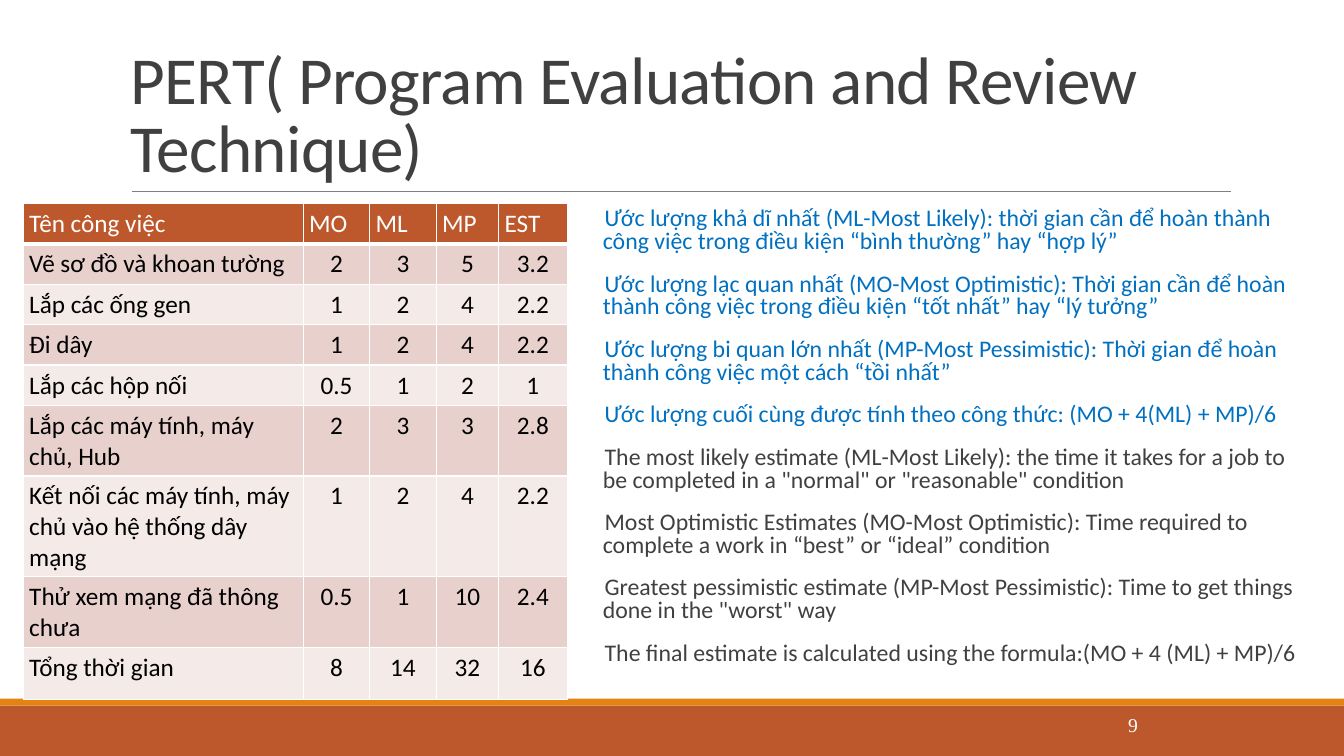
from lxml import etree
from pptx import Presentation
from pptx.dml.color import RGBColor
from pptx.enum import shapes, text
from pptx.oxml import ns
from pptx.util import Pt

RUST = RGBColor(0xBD, 0x58, 0x2C)
ORANGE = RGBColor(0xE4, 0x83, 0x12)
GREY = RGBColor(0x80, 0x80, 0x80)
CHARCOAL = RGBColor(0x40, 0x40, 0x40)
BLUE = RGBColor(0x00, 0x70, 0xC0)
BLACK = RGBColor(0, 0, 0)
WHITE = RGBColor(0xFF, 0xFF, 0xFF)
ROSE = RGBColor(0xE8, 0xD1, 0xCD)
PALE = RGBColor(0xF4, 0xEA, 0xE8)

WIDTH, HEIGHT = 960, 540
COLUMN_WIDTHS = [200, 47.5, 47.5, 44.6, 49]
ROW_HEIGHTS = [27.4] * 6 + [46.8, 27.4, 37.4]
TASKS = [
    ("Tên công việc", "MO", "ML", "MP", "EST"),
    ("Vẽ sơ đồ và khoan tường", "2", "3", "5", "3.2"),
    ("Lắp các ống gen", "1", "2", "4", "2.2"),
    ("Đi dây", "1", "2", "4", "2.2"),
    ("Lắp các hộp nối ", "0.5", "1", "2", "1"),
    ("Lắp các máy tính, máy chủ, Hub", "2", "3", "3", "2.8"),
    ("Kết nối các máy tính, máy chủ vào hệ thống dây mạng", "1", "2", "4", "2.2"),
    ("Thử xem mạng đã thông chưa", "0.5", "1", "10", "2.4"),
    ("Tổng thời gian", "8", "14", "32", "16"),
]
VIETNAMESE = [
    "Ước lượng khả dĩ nhất (ML-Most Likely): thời gian cần để hoàn thành công việc "
    "trong điều kiện “bình thường” hay “hợp lý”",
    "Ước lượng lạc quan nhất (MO-Most Optimistic): Thời gian cần để hoàn thành công việc "
    "trong điều kiện “tốt nhất” hay “lý tưởng”",
    "Ước lượng bi quan lớn nhất (MP-Most Pessimistic): Thời gian để hoàn thành công việc "
    "một cách “tồi nhất”",
    "Ước lượng cuối cùng được tính theo công thức: (MO + 4(ML) + MP)/6",
]
ENGLISH = [
    "The most likely estimate (ML-Most Likely): the time it takes for a job to be completed "
    'in a "normal" or "reasonable" condition',
    "Most Optimistic Estimates (MO-Most Optimistic): Time required to complete a work "
    "in “best” or “ideal” condition",
    "Greatest pessimistic estimate (MP-Most Pessimistic): Time to get things done "
    'in the "worst" way',
    "The final estimate is calculated using the formula:(MO + 4 (ML) + MP)/6",
]


def write(paragraph, words, size=18, color=BLACK, font="Calibri", align=None,
          line_spacing=None, before=None, after=None, tracking=None):
    run = paragraph.add_run()
    run.text = words
    run.font.size = Pt(size)
    run.font.name = font
    run.font.color.rgb = color
    if tracking is not None:
        run.font._element.set("spc", str(round(tracking * 100)))
    if align is not None:
        paragraph.alignment = align
    if line_spacing is not None:
        paragraph.line_spacing = line_spacing
    if before is not None:
        paragraph.space_before = Pt(before)
    if after is not None:
        paragraph.space_after = Pt(after)


def add_blank_bullet(paragraph, indent, color):
    properties = paragraph._p.get_or_add_pPr()
    properties.set("marL", str(Pt(indent)))
    properties.set("indent", str(-Pt(indent)))
    bullet_color = etree.SubElement(properties, ns.qn("a:buClr"))
    etree.SubElement(bullet_color, ns.qn("a:srgbClr"), val=str(color))
    etree.SubElement(properties, ns.qn("a:buChar"), char=" ")


def add_text_area(slide, left, top, width, height, anchor, side_inset=7.2):
    frame = slide.shapes.add_textbox(Pt(left), Pt(top), Pt(width), Pt(height)).text_frame
    frame.word_wrap = True
    frame.vertical_anchor = anchor
    frame.margin_left = frame.margin_right = Pt(side_inset)
    return frame


def add_band(slide, top, height, color):
    band = slide.shapes.add_shape(shapes.MSO_SHAPE.RECTANGLE, 0, Pt(top), Pt(WIDTH), Pt(height))
    band.shadow.inherit = False
    band.fill.solid()
    band.fill.fore_color.rgb = color
    band.line.fill.background()


def add_rule(slide, left, right, y):
    rule = slide.shapes.add_connector(
        shapes.MSO_CONNECTOR.STRAIGHT, Pt(left), Pt(y), Pt(right), Pt(y))
    rule.line.color.rgb = GREY
    rule.line.width = Pt(0.5)
    etree.SubElement(rule._element.spPr, ns.qn("a:effectLst"))


def format_cell(cell, fill, bottom_border):
    cell.margin_left = cell.margin_right = Pt(4.3)
    cell.margin_top = cell.margin_bottom = Pt(3.6)
    properties = cell._tc.get_or_add_tcPr()
    for side, width in (("L", 1), ("R", 1), ("T", 1), ("B", bottom_border)):
        border = etree.SubElement(properties, ns.qn(f"a:ln{side}"), w=str(Pt(width)))
        border_fill = etree.SubElement(border, ns.qn("a:solidFill"))
        etree.SubElement(border_fill, ns.qn("a:srgbClr"), val=str(WHITE))
    cell.fill.solid()
    cell.fill.fore_color.rgb = fill


def add_estimates(slide, left, top):
    table = slide.shapes.add_table(
        len(TASKS), len(COLUMN_WIDTHS), Pt(left), Pt(top),
        Pt(sum(COLUMN_WIDTHS)), Pt(sum(ROW_HEIGHTS))).table
    for column, width in zip(table.columns, COLUMN_WIDTHS):
        column.width = Pt(width)
    for i, (row, height, task) in enumerate(zip(table.rows, ROW_HEIGHTS, TASKS)):
        row.height = Pt(height)
        header = i == 0
        fill = RUST if header else (ROSE if i % 2 else PALE)
        for j, (cell, words) in enumerate(zip(row.cells, task)):
            format_cell(cell, fill, 3 if header else 1)
            centred = not header and j > 0
            write(cell.text_frame.paragraphs[0], words, color=WHITE if header else BLACK,
                  align=text.PP_ALIGN.CENTER if centred else None)


def add_definitions(slide):
    frame = add_text_area(slide, 423.4, 145.4, 504, 357, text.MSO_ANCHOR.TOP, side_inset=0)
    definitions = [(words, BLUE) for words in VIETNAMESE]
    definitions += [(words, CHARCOAL) for words in ENGLISH]
    for i, (words, color) in enumerate(definitions):
        paragraph = frame.add_paragraph() if i else frame.paragraphs[0]
        write(paragraph, words, size=17, color=color, line_spacing=0.8, before=12, after=2)
        add_blank_bullet(paragraph, 7.2, ORANGE)


def main():
    deck = Presentation()
    deck.slide_width, deck.slide_height = Pt(WIDTH), Pt(HEIGHT)
    slide = deck.slides.add_slide(deck.slide_layouts[6])
    add_band(slide, 504, 36, RUST)
    add_band(slide, 499, 5, ORANGE)
    add_rule(slide, 94, 879, 136.8)
    title = add_text_area(slide, 86.4, 22.6, 792, 114.2, text.MSO_ANCHOR.BOTTOM)
    write(title.paragraphs[0], "PERT( Program Evaluation and Review Technique)",
          size=48, color=CHARCOAL, line_spacing=0.85, tracking=-0.5)
    add_estimates(slide, 16.6, 145.4)
    add_definitions(slide)
    page_number = add_text_area(slide, 661.6, 502.6, 158.4, 30.2, text.MSO_ANCHOR.MIDDLE)
    write(page_number.paragraphs[0], "9", size=14, color=WHITE,
          font="Times New Roman", align=text.PP_ALIGN.RIGHT)
    deck.save("out.pptx")


main()
